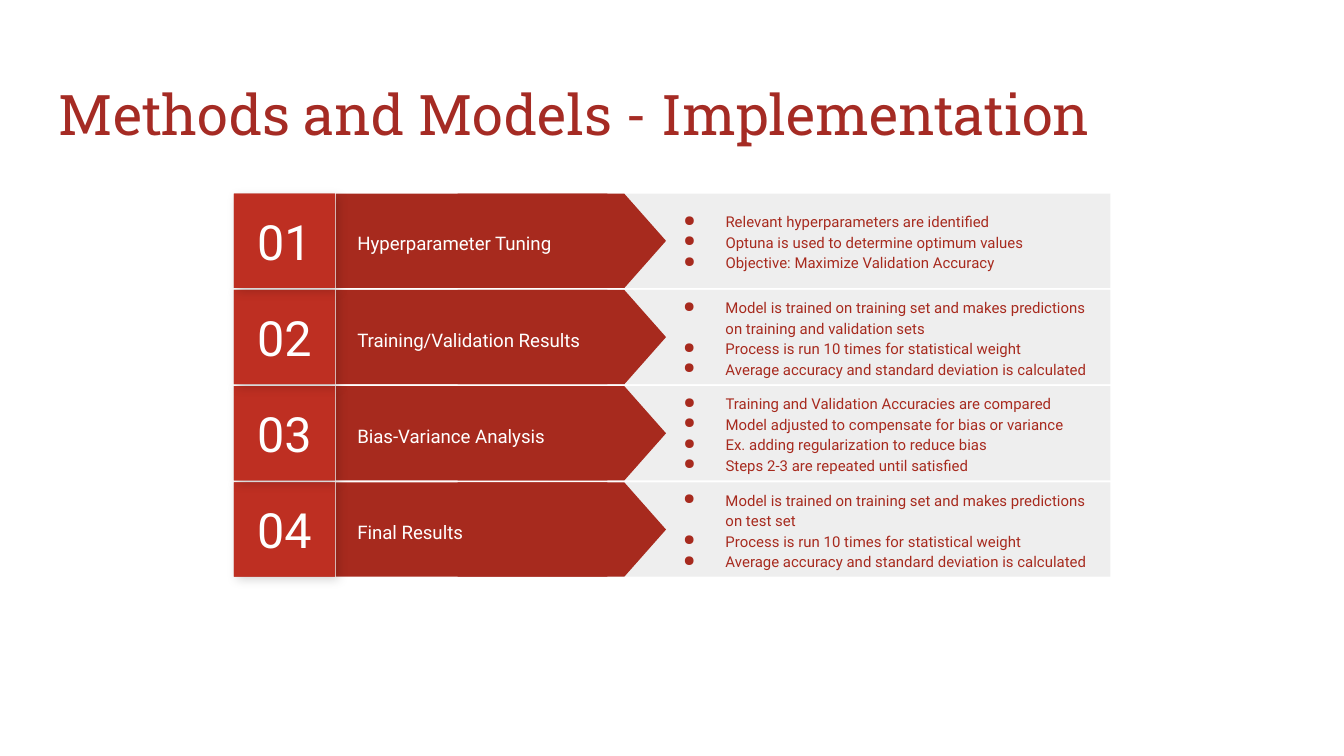
from lxml import etree
from pptx import Presentation
from pptx.dml.color import RGBColor
from pptx.enum import shapes, text
from pptx.oxml import ns
from pptx.util import Pt

TITLE_RED = RGBColor(0xA5, 0x2B, 0x24)
DARK_RED = RGBColor(0xA7, 0x2A, 0x1E)
SHADE_RED = RGBColor(0xB0, 0x2C, 0x20)
BRIGHT_RED = RGBColor(0xBE, 0x2F, 0x22)
GREY = RGBColor(0xEE, 0xEE, 0xEE)
WHITE = RGBColor(0xFF, 0xFF, 0xFF)

RECT = shapes.MSO_SHAPE.RECTANGLE
POINTER = shapes.MSO_SHAPE.FLOWCHART_OFFPAGE_CONNECTOR
MIDDLE = text.MSO_ANCHOR.MIDDLE

TOP, STEP, ROW_H = 103.8, 51.55, 50.5
NUM_X, NUM_W = 125.3, 54.3
POINTER_CENTER, POINTER_LEN = 301, 111.6

TITLE = dict(name="Roboto Slab", size=Pt(30))
NUMBER = dict(name="Roboto", size=Pt(26))
LABEL = dict(name="Roboto", size=Pt(10))
DETAIL = dict(name="Roboto", size=Pt(8))

RUNS = "Process is run 10 times for statistical weight"
AVERAGE = "Average accuracy and standard deviation is calculated"
STEPS = [
    ("Hyperparameter Tuning", 234, [
        "Relevant hyperparameters are identified",
        "Optuna is used to determine optimum values",
        "Objective: Maximize Validation Accuracy"]),
    ("Training/Validation Results", 249, [
        "Model is trained on training set and makes predictions on training and validation sets",
        RUNS, AVERAGE]),
    ("Bias-Variance Analysis", 234, [
        "Training and Validation Accuracies are compared",
        "Model adjusted to compensate for bias or variance",
        "Ex. adding regularization to reduce bias",
        "Steps 2-3 are repeated until satisfied"]),
    ("Final Results", 249, [
        "Model is trained on training set and makes predictions on test set",
        RUNS, AVERAGE]),
]


def add_block(s, x, y, w, h, color, kind=RECT):
    sp = s.shapes.add_shape(kind, Pt(x), Pt(y), Pt(w), Pt(h))
    sp.fill.solid()
    sp.fill.fore_color.rgb = color
    sp.line.fill.background()
    sp.shadow.inherit = False
    return sp


def add_shadow(sp):
    effects = sp._element.spPr.find(ns.qn("a:effectLst"))
    shadow = etree.SubElement(effects, ns.qn("a:outerShdw"), blurRad=str(Pt(5.6)),
                              dist=str(Pt(2.2)), dir="2700000", algn="bl", rotWithShape="0")
    color = etree.SubElement(shadow, ns.qn("a:srgbClr"), val="000000")
    etree.SubElement(color, ns.qn("a:alpha"), val="17000")


def add_bullet(p, color):
    pPr = p._p.get_or_add_pPr()
    pPr.set("marL", str(Pt(36)))
    pPr.set("indent", str(Pt(-22.5)))
    bullet_color = etree.SubElement(pPr, ns.qn("a:buClr"))
    etree.SubElement(bullet_color, ns.qn("a:srgbClr"), val=str(color))
    etree.SubElement(pPr, ns.qn("a:buChar"), char="●")


def write(sp, lines, fmt, color, anchor=MIDDLE, align=text.PP_ALIGN.LEFT,
          spacing=None, bullets=False):
    tf = sp.text_frame
    frame = dict(word_wrap=True, vertical_anchor=anchor, margin_left=Pt(7.2),
                 margin_right=Pt(7.2), margin_top=Pt(7.2), margin_bottom=Pt(7.2))
    for key, value in frame.items():
        setattr(tf, key, value)
    for i, line in enumerate(lines):
        p = tf.paragraphs[0] if i == 0 else tf.add_paragraph()
        p.alignment = align
        p.line_spacing = spacing
        if bullets:
            add_bullet(p, color)
        r = p.add_run()
        r.text = line
        r.font.color.rgb = color
        for key, value in fmt.items():
            setattr(r.font, key, value)


def add_text(s, x, y, w, h, lines, fmt, color, **options):
    box = s.shapes.add_textbox(Pt(x), Pt(y), Pt(w), Pt(h))
    write(box, lines, fmt, color, **options)


def add_step(s, index, label, detail_w, details):
    y = TOP + STEP * index
    add_block(s, 293.8, y, 301, ROW_H, GREY)
    add_block(s, 180, y, 145.4, ROW_H, DARK_RED)
    pointer = add_block(s, POINTER_CENTER - ROW_H / 2, y + (ROW_H - POINTER_LEN) / 2,
                        ROW_H, POINTER_LEN, DARK_RED, POINTER)
    pointer.rotation = 270
    add_text(s, 184.3, y + 6.3, 152.6, 38.9, [label], LABEL, WHITE, spacing=1.15)
    add_shadow(add_block(s, NUM_X, y, NUM_W, ROW_H, SHADE_RED))
    number = add_block(s, NUM_X, y, NUM_W, ROW_H, BRIGHT_RED)
    write(number, [f"{index + 1:02}"], NUMBER, WHITE, align=text.PP_ALIGN.CENTER)
    add_text(s, 345.6, y, detail_w, ROW_H, details, DETAIL, DARK_RED,
             spacing=1.15, bullets=True)


def main():
    prs = Presentation()
    prs.slide_width, prs.slide_height = Pt(720), Pt(405)
    s = prs.slides.add_slide(prs.slide_layouts[6])
    add_text(s, 24.5, 35.3, 671, 45.4, ["Methods and Models - Implementation"],
             TITLE, TITLE_RED, anchor=text.MSO_ANCHOR.TOP)
    for index, step in reversed(list(enumerate(STEPS))):
        add_step(s, index, *step)
    prs.save("out.pptx")


if __name__ == "__main__":
    main()
